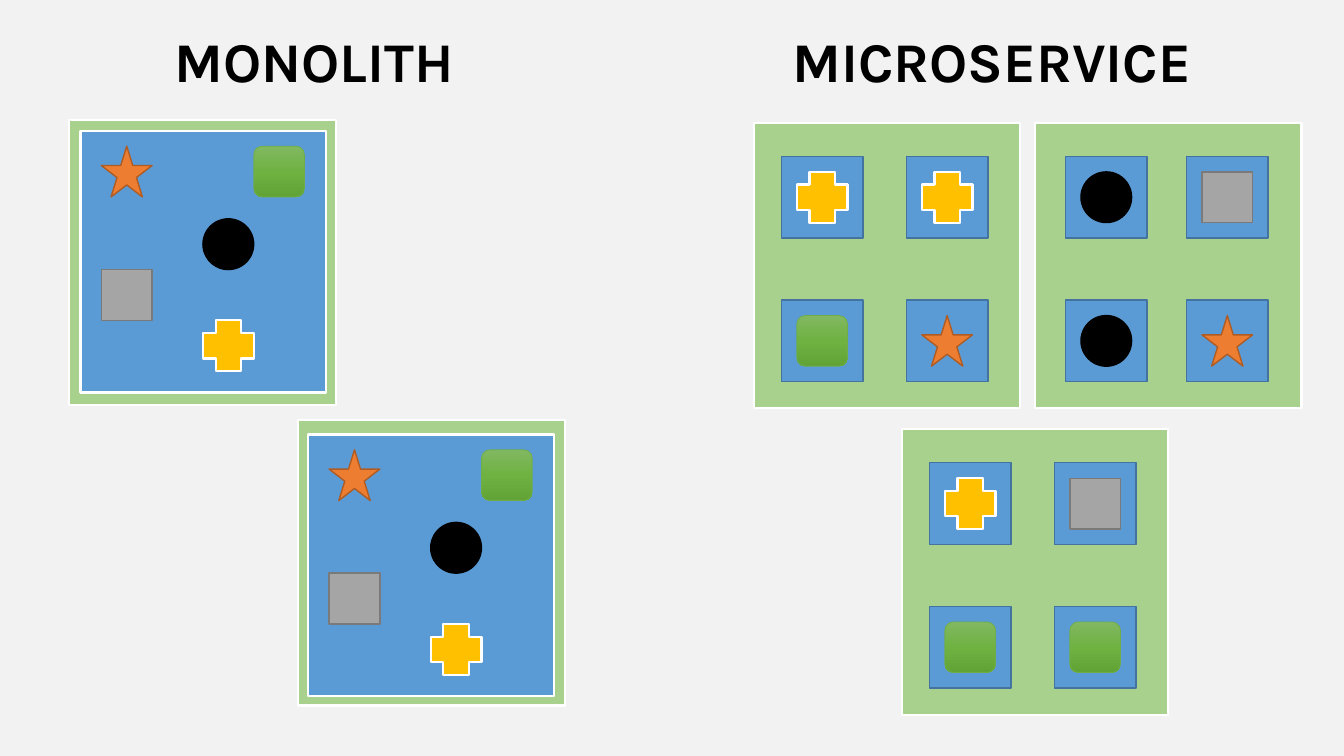
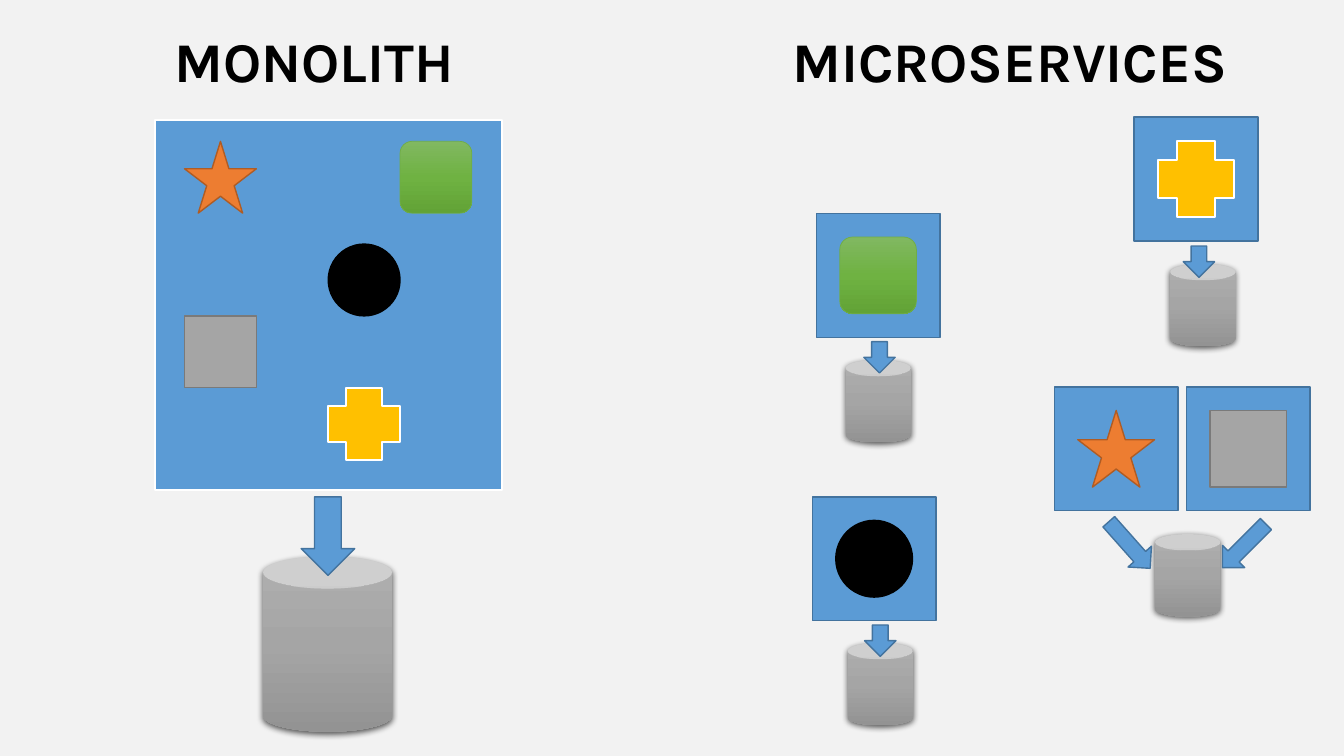
from pptx import Presentation
from pptx.dml.color import RGBColor
from pptx.enum.shapes import MSO_SHAPE
from pptx.enum.text import MSO_ANCHOR, MSO_AUTO_SIZE, PP_ALIGN
from pptx.oxml import parse_xml
from pptx.oxml.ns import nsdecls, qn
from pptx.util import Cm, Pt

RECT, ROUND, OVAL = MSO_SHAPE.RECTANGLE, MSO_SHAPE.ROUNDED_RECTANGLE, MSO_SHAPE.OVAL
STAR, CROSS = MSO_SHAPE.STAR_5_POINT, MSO_SHAPE.CROSS
CAN, ARROW = MSO_SHAPE.CAN, MSO_SHAPE.DOWN_ARROW
TOP, LEFT, NO_FIT = MSO_ANCHOR.TOP, PP_ALIGN.LEFT, MSO_AUTO_SIZE.NONE
SECTION_LAYOUT = 2  # a title and one unbulleted body

# Styles: preset, fill (a list is a vertical gradient), line colour, line width
BACKGROUND = "F2F2F2"
STYLES = {
    "server": (RECT, "A9D18E", "FFFFFF", 1.5),
    "block": (RECT, "5B9BD5", "FFFFFF", 1.5),
    "tile": (RECT, "5B9BD5", "43739E", 1),
    "arrow": (ARROW, "5B9BD5", "43739E", 1),
    "star": (STAR, "ED7D31", "AF5C24", 1),
    "square": (RECT, "A5A5A5", "7A7A7A", 1),
    "cross": (CROSS, "FFC000", "FFFFFF", 1.5),
    "circle": (OVAL, "000000", "000000", 1),
    "rounded": (ROUND, ["81B861", "6FB242", "62A336"], "70AD47", 0.5),
    "database": (CAN, ["AFAFAF", "A5A5A5", "939393"], None, 0),
}
HEADING_FONT = {"name": "Karla", "size": Pt(40), "bold": True}
HEADING_FRAME = {"word_wrap": False, "auto_size": NO_FIT, "vertical_anchor": TOP}
HEADING_PARAGRAPH = {"alignment": LEFT, "space_before": Pt(0)}
HEADING_BOXES = [(4.14, 0.53, 8.28, 1.96), (19.71, 0.53, 11.53, 1.96)]

# Monolith block, measured in icon sizes
BLOCK_SIZE = (4.83, 5.15)
BLOCK_ICONS = [("star", 0.41, 0.3), ("square", 0.41, 2.73), ("cross", 2.41, 3.73),
               ("circle", 2.41, 1.73), ("rounded", 3.41, 0.3)]
ICON_SHARE = 0.62  # icon size within a tile

# Slide 1: scaling (cm)
SERVER = (6.71, 7.19)
SMALL_ICON, SMALL_TILE = 1.28, 2.06
MONOLITH_SERVERS = [((1.75, 3.02), (2.03, 3.3)), ((7.52, 10.59), (7.77, 10.95))]
ROW_START, ROW_STEP = 0.84, 3.62
# place, first column, column step, icons by row
MICRO_SERVERS = [
    ((19, 3.1), 0.69, 3.15, ["cross", "cross", "rounded", "star"]),
    ((26.09, 3.1), 0.76, 3.05, ["circle", "square", "circle", "star"]),
    ((22.73, 10.82), 0.69, 3.15, ["cross", "square", "rounded", "rounded"]),
]

# Slide 2: databases (cm)
LARGE_ICON, LARGE_TILE = 1.81, 3.12
MONOLITH_BLOCK = (3.91, 3.02)
SERVICES = [("rounded", 20.57, 5.38), ("circle", 20.47, 12.52), ("square", 29.9, 9.75),
            ("star", 26.57, 9.75), ("cross", 28.58, 2.95)]
DATABASE = (1.65, 2.08)
DATABASES = [(21.36, 16.2), (21.31, 9.07), (29.49, 6.65), (29.11, 13.46)]
MONOLITH_DATABASE = (6.63, 14.02, 3.25, 4.42)
ARROWS = [  # left, top, width, height, rotation
    (21.79, 15.75, 0.79, 0.79, 0), (21.77, 8.61, 0.79, 0.79, 0),
    (29.82, 6.2, 0.79, 0.79, 0), (28.07, 12.95, 0.79, 1.57, 318.4),
    (30.96, 12.98, 0.79, 1.55, 44.9), (7.59, 12.52, 1.35, 1.98, 0),
]


def rgb(color):
    return RGBColor.from_string(color)


def set_gradient(sp, colors):
    sp.fill.gradient()
    spPr = sp._element.spPr
    step = 100000 // (len(colors) - 1)
    stops = "".join(f'<a:gs pos="{i * step}"><a:srgbClr val="{c}"/></a:gs>'
                    for i, c in enumerate(colors))
    spPr.replace(spPr.find(qn("a:gradFill")), parse_xml(
        f'<a:gradFill {nsdecls("a")} rotWithShape="1"><a:gsLst>{stops}</a:gsLst>'
        '<a:lin ang="5400000" scaled="0"/></a:gradFill>'))


def add_part(shapes, style, x, y, w, h, rotation=0):
    preset, fill, line, width = STYLES[style]
    sp = shapes.add_shape(preset, Cm(x), Cm(y), Cm(w), Cm(h))
    sp.shadow.inherit = False
    sp.rotation = rotation
    if isinstance(fill, list):
        set_gradient(sp, fill)
    else:
        sp.fill.solid()
        sp.fill.fore_color.rgb = rgb(fill)
    if line:
        sp.line.color.rgb = rgb(line)
        sp.line.width = Pt(width)
    else:
        sp.line.fill.background()
    return sp


def add_database(shapes, x, y, w, h):
    sp = add_part(shapes, "database", x, y, w, h)
    sp._element.spPr.find(qn("a:effectLst")).append(parse_xml(
        f'<a:outerShdw {nsdecls("a")} blurRad="57150" dist="19050" dir="5400000" '
        'algn="ctr" rotWithShape="0"><a:srgbClr val="000000">'
        '<a:alpha val="63000"/></a:srgbClr></a:outerShdw>'))


def add_tile(s, icon, x, y, size):
    shapes = s.shapes.add_group_shape().shapes
    icon_size = size * ICON_SHARE
    inset = (size - icon_size) / 2
    add_part(shapes, "tile", x, y, size, size)
    add_part(shapes, icon, x + inset, y + inset, icon_size, icon_size)


def add_block(s, x, y, unit):
    shapes = s.shapes.add_group_shape().shapes
    add_part(shapes, "block", x, y, *(n * unit for n in BLOCK_SIZE))
    for icon, dx, dy in BLOCK_ICONS:
        add_part(shapes, icon, x + dx * unit, y + dy * unit, unit, unit)


def apply(target, values):
    for name, value in values.items():
        setattr(target, name, value)


def add_slide(prs, *headings):
    s = prs.slides.add_slide(prs.slide_layouts[SECTION_LAYOUT])
    for sp, text, box in zip(s.placeholders, headings, HEADING_BOXES):
        sp.left, sp.top, sp.width, sp.height = map(Cm, box)
        tf = sp.text_frame
        apply(tf, HEADING_FRAME)
        p = tf.paragraphs[0]
        apply(p, HEADING_PARAGRAPH)
        r = p.add_run()
        r.text = text
        apply(r.font, HEADING_FONT)
        r.font.color.rgb = rgb("000000")
    return s


def build_scaling(prs):
    s = add_slide(prs, "MONOLITH", "MICROSERVICE")
    for server, block in MONOLITH_SERVERS:
        add_part(s.shapes, "server", *server, *SERVER)
        add_block(s, *block, SMALL_ICON)
    for (x, y), start, step, icons in MICRO_SERVERS:
        add_part(s.shapes, "server", x, y, *SERVER)
        for i, icon in enumerate(icons):
            row, col = divmod(i, 2)
            add_tile(s, icon, x + start + col * step, y + ROW_START + row * ROW_STEP,
                     SMALL_TILE)


def build_databases(prs):
    s = add_slide(prs, "MONOLITH", "MICROSERVICES")
    add_block(s, *MONOLITH_BLOCK, LARGE_ICON)
    for icon, x, y in SERVICES:
        add_tile(s, icon, x, y, LARGE_TILE)
    for place in DATABASES:
        add_database(s.shapes, *place, *DATABASE)
    add_database(s.shapes, *MONOLITH_DATABASE)
    for arrow in ARROWS:
        add_part(s.shapes, "arrow", *arrow)


def main():
    prs = Presentation()
    prs.slide_width, prs.slide_height = Cm(33.87), Cm(19.05)
    fill = prs.slide_master.background.fill
    fill.solid()
    fill.fore_color.rgb = rgb(BACKGROUND)
    build_scaling(prs)
    build_databases(prs)
    prs.save("out.pptx")


if __name__ == "__main__":
    main()
